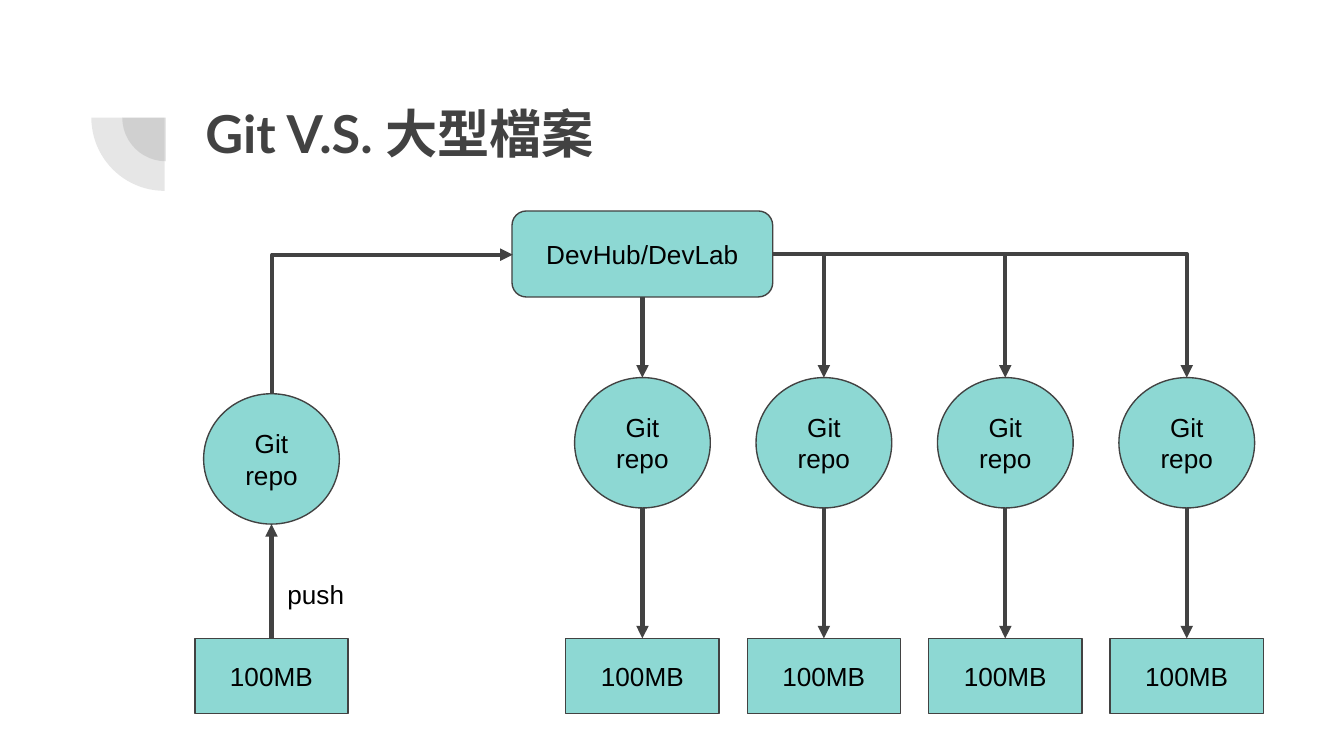
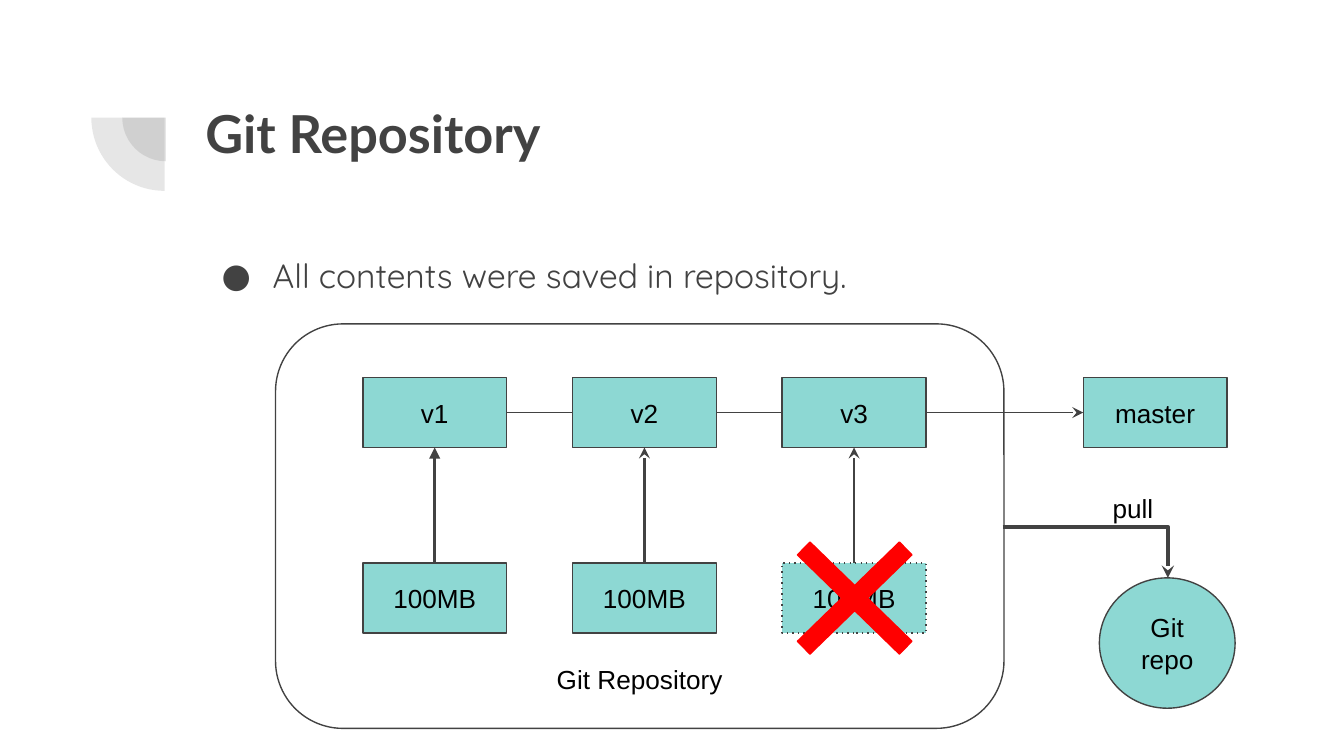
from pptx import Presentation
from pptx.dml.color import RGBColor
from pptx.enum.shapes import MSO_CONNECTOR as CONN, MSO_SHAPE as SHAPE
from pptx.enum.text import MSO_ANCHOR as ANCHOR, PP_ALIGN as ALIGN
from pptx.oxml.ns import qn
from pptx.util import Inches, Pt
from lxml.etree import SubElement

DARK, TEAL, RED, BLACK = "424242", "8DD8D3", "FF0000", "000000"
TOP, LEFT, BOTTOM, RIGHT = range(4)
rgb = RGBColor.from_string


def add_box(s, kind, x, y, w, h, text="", fill=None, line=DARK, anchor=ANCHOR.MIDDLE,
            font="Arial", size=14, color=BLACK, bold=False):
    """Add a preset shape, or a left-aligned text box when kind is None."""
    pos = [Inches(v) for v in (x, y, w, h)]
    if kind is None:
        sp = s.shapes.add_textbox(*pos)
        anchor, align = ANCHOR.TOP, ALIGN.LEFT
    else:
        sp = s.shapes.add_shape(kind, *pos)
        sp.shadow.inherit = False
        align = ALIGN.CENTER
        if fill:
            sp.fill.solid()
            sp.fill.fore_color.rgb = rgb(fill)
        else:
            sp.fill.background()
        if line:
            sp.line.color.rgb = rgb(line)
            sp.line.width = Pt(0.75)
        else:
            sp.line.fill.background()
    tf = sp.text_frame
    tf.word_wrap = True
    tf.vertical_anchor = anchor
    tf.margin_left = tf.margin_right = tf.margin_top = tf.margin_bottom = Inches(0.1)
    for i, words in enumerate(text.split("\n") if text else []):
        p = tf.add_paragraph() if i else tf.paragraphs[0]
        p.alignment = align
        r = p.add_run()
        r.text = words
        r.font.name, r.font.size, r.font.bold = font, Pt(size), bold
        r.font.color.rgb = rgb(color)
    return sp


def add_link(s, x1, y1, x2, y2, width, head=None, bent=False):
    """Add a straight line, or one with a single right-angle bend."""
    c = s.shapes.add_connector(CONN.ELBOW if bent else CONN.STRAIGHT,
                               Inches(x1), Inches(y1), Inches(x2), Inches(y2))
    c.line.color.rgb = rgb(DARK)
    c.line.width = Pt(width)
    spPr = c._element.spPr
    if bent:
        spPr.find(qn("a:prstGeom")).set("prst", "bentConnector2")
    if head:
        SubElement(c.line._get_or_add_ln(), qn("a:tailEnd"), type=head)
    SubElement(spPr, qn("a:effectLst"))
    return c


prs = Presentation()
prs.slide_width, prs.slide_height = Inches(10), Inches(10) * 9 // 16

# Shared corner ornament and title
slides = []
for title in ("Git V.S. 大型檔案", "Git Repository"):
    s = prs.slides.add_slide(prs.slide_layouts[6])
    for x, y, d in ((0.91, 0.55, 0.65), (0.68, 0.33, 1.09)):
        pie = add_box(s, SHAPE.PIE, x, y, d, d, fill=DARK, line=None)
        pie.adjustments[0], pie.adjustments[1] = 108, 162
        pie.rotation = 270
        clr = pie._element.spPr.find(qn("a:solidFill"))[0]
        SubElement(clr, qn("a:alpha"), val="13000")
    add_box(s, None, 1.43, 0.65, 7.69, 1.09, title,
            font="Lato", size=28, color=DARK, bold=True)
    slides.append(s)

# Slide 1: one push, four clones
s = slides[0]
repo_w, repo_h, file_w, file_h, file_y = 1.01, 0.97, 1.14, 0.56, 4.75
host_y = 1.89
host = add_box(s, SHAPE.ROUNDED_RECTANGLE, 3.81, 1.57, 1.94, 0.64, "DevHub/DevLab", TEAL)
push_x = 2.02
clone_xs = [4.78 + 1.35 * i for i in range(4)]
for cx in [push_x] + clone_xs:
    pushing = cx == push_x
    repo_y = 2.93 if pushing else 2.81
    repo = add_box(s, SHAPE.OVAL, cx - repo_w / 2, repo_y, repo_w, repo_h, "Git\nrepo", TEAL)
    file = add_box(s, SHAPE.RECTANGLE, cx - file_w / 2, file_y, file_w, file_h, "100MB", TEAL)
    repo_bottom = repo_y + repo_h
    if pushing:
        c = add_link(s, cx, file_y, cx, repo_bottom, 2.25, "triangle")
        c.begin_connect(file, TOP)
        up = add_link(s, 2.4, 1.52, 3.44, 3.31, 2.25, "triangle", bent=True)
        up._element.spPr.find(qn("a:xfrm")).set("rot", str(270 * 60000))
        continue
    c = add_link(s, cx, repo_bottom, cx, file_y, 2.25, "triangle")
    c.end_connect(file, TOP)
    if cx == clone_xs[0]:
        c = add_link(s, cx, 2.21, cx, repo_y, 2.25, "triangle")
        c.begin_connect(host, BOTTOM)
        c.end_connect(repo, TOP)
    else:
        add_link(s, 5.75, host_y, cx, repo_y, 2.25, "triangle", bent=True)
add_box(s, None, 2.04, 4.2, 0.65, 0.29, "push")

# Slide 2: versions kept inside the repository
s = slides[1]
add_box(s, SHAPE.ROUNDED_RECTANGLE, 2.05, 2.41, 5.42, 3.01, "Git Repository",
        anchor=ANCHOR.BOTTOM)
body = add_box(s, None, 1.43, 1.75, 7.69, 0.8, "All contents were saved in repository.",
               font="Quicksand", size=18, color=DARK)
p = body.text_frame.paragraphs[0]
p.line_spacing = 1.15
pPr = p._p.get_or_add_pPr()
pPr.set("marL", str(Inches(0.5)))
pPr.set("indent", str(Inches(-0.38)))
SubElement(SubElement(pPr, qn("a:buClr")), qn("a:srgbClr"), val=DARK)
SubElement(pPr, qn("a:buFont"), typeface="Quicksand")
SubElement(pPr, qn("a:buChar"), char="●")

box_w, box_h, version_y, blob_y = 1.07, 0.52, 2.81, 4.19
mid_y = version_y + box_h / 2
previous = None
for i, name in enumerate(("v1", "v2", "v3", "master")):
    x = 8.06 if name == "master" else 2.7 + 1.56 * i
    version = add_box(s, SHAPE.RECTANGLE, x, version_y, box_w, box_h, name, TEAL)
    if previous:
        c = add_link(s, x - 0.49, mid_y, x, mid_y, 0.75,
                     "stealth" if name == "master" else None)
        c.begin_connect(previous, RIGHT)
        c.end_connect(version, LEFT)
    previous = version
    if name == "master":
        break
    blob = add_box(s, SHAPE.RECTANGLE, x, blob_y, box_w, box_h, "100MB", TEAL)
    if name == "v3":
        SubElement(blob.line._get_or_add_ln(), qn("a:prstDash"), val="dot")
    cx = x + box_w / 2
    c = add_link(s, cx, blob_y, cx, version_y + box_h, 1.5,
                 "triangle" if name == "v1" else "stealth")
    c.begin_connect(blob, TOP)
    c.end_connect(version, BOTTOM)

cross = add_box(s, SHAPE.MATH_MULTIPLY, 5.63, 3.74, 1.46, 1.42, fill=RED, line=RED)
cross.adjustments[0] = 0.094
add_box(s, SHAPE.OVAL, 8.18, 4.3, repo_w, repo_h, "Git\nrepo", TEAL)
add_link(s, 7.46, 3.92, 8.69, 4.3, 2.25, "stealth", bent=True)
add_box(s, None, 8.18, 3.56, 0.83, 0.39, "pull")

prs.save("out.pptx")
